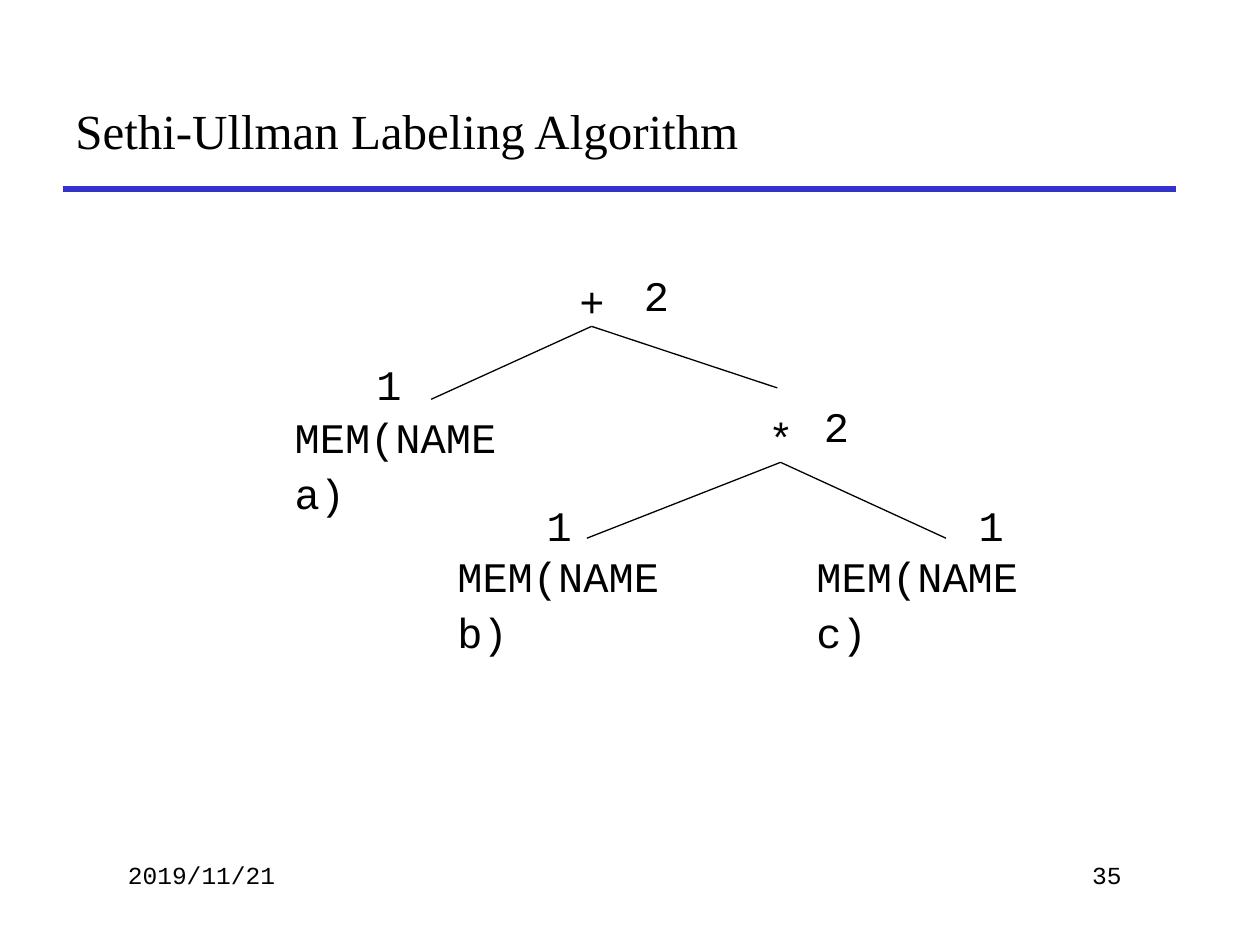
from dataclasses import dataclass
from pptx import Presentation
from pptx.dml.color import RGBColor
from pptx.enum.shapes import MSO_CONNECTOR as Conn
from pptx.enum.text import MSO_ANCHOR as Anchor, PP_ALIGN as Align
from pptx.oxml.ns import qn
from pptx.util import Cm, Pt

BLACK = RGBColor(0, 0, 0)
BLUE = RGBColor(0x33, 0x33, 0xCC)
MONO, SERIF = "Courier New", "Times New Roman"
HIGH = 1.27  # height of one text row, cm
THIN = 0.99  # width of a single mark, cm
WIDE = 5.72  # width of a leaf, cm
TOP, BOTTOM = 0, 2


@dataclass
class Node:
    text: str
    left: float
    top: float
    wide: float
    label: str
    label_left: float
    label_top: float


@dataclass
class Edge:
    start: str
    end: str
    x: float
    y: float
    joined: bool


NODES = {
    "plus": Node("+", 11.43, 5.31, THIN, "2", 12.73, 5.18),
    "a": Node("MEM(NAME a)", 5.69, 8.05, WIDE, "1", 7.34, 6.99),
    "times": Node("*", 15.24, 8.05, THIN, "2", 16.36, 7.82),
    "b": Node("MEM(NAME b)", 8.97, 10.85, WIDE, "1", 10.77, 9.83),
    "c": Node("MEM(NAME c)", 16.21, 10.85, WIDE, "1", 19.48, 9.83),
}
EDGES = [
    Edge("plus", "a", 8.69, 8.05, False),
    Edge("plus", "times", 15.67, 7.82, False),
    Edge("times", "b", 11.81, 10.85, True),
    Edge("times", "c", 19.05, 10.85, True),
]


def add_text(slide, text: str, left: float, top: float, wide: float,
             high: float = HIGH, size: int = 24, font: str = MONO,
             align=Align.LEFT, anchor=Anchor.TOP):
    box = slide.shapes.add_textbox(Cm(left), Cm(top), Cm(wide), Cm(high))
    frame = box.text_frame
    frame.word_wrap = True
    frame.vertical_anchor = anchor
    frame.text = text
    para = frame.paragraphs[0]
    para.alignment = align
    para.line_spacing = 1.12
    face = para.runs[0].font
    face.name, face.size = font, Pt(size)
    face.color.rgb = BLACK
    return box


def add_line(slide, x1: int, y1: int, x2: int, y2: int,
             color: RGBColor = BLACK, width: float = 0.75):
    line = slide.shapes.add_connector(Conn.STRAIGHT, x1, y1, x2, y2)
    line.line.color.rgb = color
    line.line.width = Pt(width)
    props = line._element.spPr
    props.append(props.makeelement(qn("a:effectLst"), {}))
    return line


def main() -> None:
    deck = Presentation()
    deck.slide_width, deck.slide_height = Cm(25.4), Cm(19.05)
    slide = deck.slides.add_slide(deck.slide_layouts[6])

    # Title and rule
    add_line(slide, Cm(1.27), Cm(3.81), Cm(23.7), Cm(3.81), BLUE, 3)
    add_text(slide, "Sethi-Ullman Labeling Algorithm", 1.27, 1.27, 22.43,
             2.54, 28, SERIF, anchor=Anchor.MIDDLE)

    # Tree nodes with their labels
    boxes = {}
    for key, node in NODES.items():
        boxes[key] = add_text(slide, node.text, node.left, node.top, node.wide)
        add_text(slide, node.label, node.label_left, node.label_top, THIN)

    # Tree edges
    for edge in EDGES:
        box = boxes[edge.start]
        line = add_line(slide, box.left + box.width // 2, box.top + box.height,
                        Cm(edge.x), Cm(edge.y))
        line.begin_connect(box, BOTTOM)
        if edge.joined:
            line.end_connect(boxes[edge.end], TOP)

    # Footer
    add_text(slide, "2019/11/21", 2.33, 17.15, 5.29, size=14)
    add_text(slide, "35", 17.57, 17.15, 5.29, size=14, align=Align.RIGHT)

    deck.save("out.pptx")


if __name__ == "__main__":
    main()
